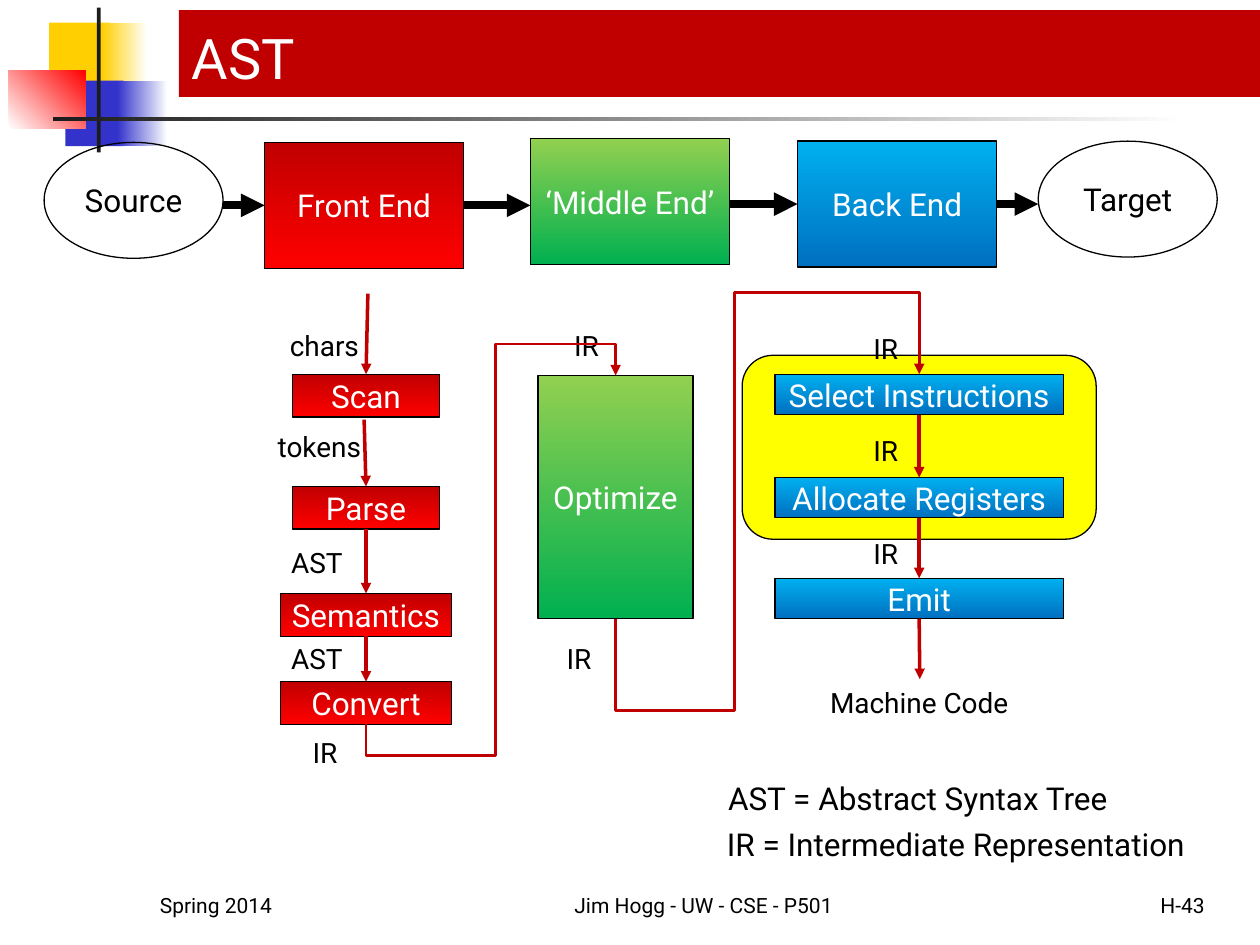
from pptx import Presentation
from pptx import util as u
from pptx.dml.color import RGBColor
from pptx.enum import shapes, text
from pptx.oxml import ns
from lxml import etree

FONT = "Roboto"
BLACK, WHITE, RED = "000000", "FFFFFF", "C00000"
FRONT, MIDDLE, BACK = (RED, "FF0000"), ("92D050", "00B050"), ("00B0F0", "0070C0")
TOP, LEFT, BOTTOM, RIGHT = range(4)
KIND = shapes.MSO_SHAPE
ALIGN = text.PP_ALIGN


def color(value):
    return RGBColor.from_string(value)


def inches(values):
    return [u.Inches(value) for value in values]


def paint(shape, fill, angle=90):
    """Fill with nothing, one colour, or a gradient turned clockwise."""
    if fill is None:
        shape.fill.background()
    elif isinstance(fill, str):
        shape.fill.solid()
        shape.fill.fore_color.rgb = color(fill)
    else:
        shape.fill.gradient()
        shape.fill.gradient_angle = -angle % 360
        for stop, position, value in zip(shape.fill.gradient_stops, (0, 1), fill):
            stop.position = position
            stop.color.rgb = color(value)


def write(shape, words, size, align, ink=BLACK, anchor=text.MSO_ANCHOR.TOP, wrap=True):
    frame = shape.text_frame
    frame.text = words
    frame.word_wrap = wrap
    frame.vertical_anchor = anchor
    para = frame.paragraphs[0]
    para.alignment = align
    para.font.name = FONT
    para.font.size = u.Pt(size)
    para.font.color.rgb = color(ink)


def add_box(page, at, fill, words="", kind=KIND.RECTANGLE, ink=WHITE, outline=True, angle=90):
    box = page.shapes.add_shape(kind, *inches(at))
    box.shadow.inherit = False
    paint(box, fill, angle)
    if outline:
        box.line.color.rgb = color(BLACK)
        box.line.width = u.Pt(0.75)
    else:
        box.line.fill.background()
    if words:
        write(box, words, 18, ALIGN.CENTER, ink, text.MSO_ANCHOR.MIDDLE, wrap=False)
    return box


def add_label(page, at, words, size=16, align=ALIGN.CENTER, anchor=text.MSO_ANCHOR.TOP, wrap=True):
    label = page.shapes.add_textbox(*inches(at))
    write(label, words, size, align, anchor=anchor, wrap=wrap)
    return label


def add_arrow(page, begin, end, ink=RED, width=2, kind=shapes.MSO_CONNECTOR.STRAIGHT):
    """Each end is a point (x, y) or a joint (shape, side)."""
    is_point = [isinstance(tip[0], (int, float)) for tip in (begin, end)]
    start = inches(begin) if is_point[0] else (0, 0)
    stop = inches(end) if is_point[1] else (0, 0)
    arrow = page.shapes.add_connector(kind, *start, *stop)
    if not is_point[0]:
        arrow.begin_connect(*begin)
    if not is_point[1]:
        arrow.end_connect(*end)
    arrow.line.color.rgb = color(ink)
    arrow.line.width = u.Pt(width)
    line = arrow.line._get_or_add_ln()
    etree.SubElement(line, ns.qn("a:tailEnd"), type="triangle")
    etree.SubElement(arrow._element.spPr, ns.qn("a:effectLst"))
    return arrow


def add_detour(page, begin, end, low, lane, high):
    """Elbow arrow: down to low, across to lane, up to high, then into the end."""
    arrow = add_arrow(page, begin, end, width=1.5, kind=shapes.MSO_CONNECTOR.ELBOW)
    x, y = arrow.begin_x, arrow.begin_y
    across, climb = arrow.end_x - x, y - arrow.end_y
    bends = ((y - u.Inches(low)) / climb, (u.Inches(lane) - x) / across,
             (y - u.Inches(high)) / climb)
    # A quarter turn swaps the width and the height about the same centre
    arrow.left, arrow.top = x + (across - climb) // 2, y - (climb + across) // 2
    arrow.width, arrow.height = climb, across
    frame = arrow._element.spPr.find(ns.qn("a:xfrm"))
    for name, value in (("rot", "5400000"), ("flipH", "1"), ("flipV", "1")):
        frame.set(name, value)
    shape = arrow._element.spPr.find(ns.qn("a:prstGeom"))
    shape.set("prst", "bentConnector5")
    guides = shape.find(ns.qn("a:avLst"))
    for number, bend in enumerate(bends, 1):
        etree.SubElement(guides, ns.qn("a:gd"), name=f"adj{number}",
                         fmla=f"val {round(bend * 100000)}")


def add_decoration(page):
    for at, fill, angle in (
        ((0.39, 0.18, 0.48, 0.52), "FFCF01", 0),
        ((0.81, 0.18, 0.36, 0.52), ("FFCF01", WHITE), 0),
        ((0.52, 0.64, 0.46, 0.52), "3333CC", 0),
        ((0.93, 0.64, 0.4, 0.52), ("3333CC", WHITE), 0),
        ((0.07, 0.56, 0.61, 0.46), (WHITE, "FF0000"), 315),
        ((0.77, 0.06, 0.03, 1.15), "1C1C1C", 0),
        ((0.42, 0.93, 9, 0.03), ("1C1C1C", WHITE), 0),
    ):
        add_box(page, at, fill, outline=False, angle=angle)


def add_title(page, words):
    title = page.shapes.title
    title.left, title.top, title.width, title.height = inches((1.42, 0.08, 8.58, 0.69))
    paint(title, RED)
    write(title, words, 32, ALIGN.LEFT, WHITE, text.MSO_ANCHOR.BOTTOM)
    title.text_frame.auto_size = text.MSO_AUTO_SIZE.NONE


def add_overview(page):
    """Top row: source, the three compiler ends, target."""
    for x, y, words in ((0.35, 1.13, "Source"), (8.24, 1.12, "Target")):
        add_box(page, (x, y, 1.42, 0.92), None, words, KIND.OVAL, BLACK)
    front, middle, back = [
        add_box(page, (x, y, 1.58, 1), fill, words) for x, y, fill, words in (
            (2.1, 1.13, FRONT, "Front End"),
            (4.21, 1.1, MIDDLE, "‘Middle End’"),
            (6.33, 1.12, BACK, "Back End"))]
    for begin, end in (((1.77, 1.63), (front, LEFT)), ((front, RIGHT), (4.21, 1.63)),
                       ((5.79, 1.62), (back, LEFT)), ((back, RIGHT), (8.24, 1.62))):
        add_arrow(page, begin, end, BLACK, 4.5)


def add_stages(page):
    """Detailed stages below each end, with what passes between them."""
    add_box(page, (5.89, 2.82, 2.81, 1.46), "FFFF00", kind=KIND.ROUNDED_RECTANGLE)
    scan, parse, semantics, convert = [
        add_box(page, (2.905 - width / 2, y, width, 0.34), FRONT, words)
        for y, width, words in ((2.97, 1.17, "Scan"), (3.86, 1.17, "Parse"),
                                (4.71, 1.36, "Semantics"), (5.41, 1.36, "Convert"))]
    optimize = add_box(page, (4.27, 2.98, 1.23, 1.93), MIDDLE, "Optimize")
    select, allocate, emit = [
        add_box(page, (6.15, y, 2.29, 0.32), BACK, words)
        for y, words in ((2.97, "Select Instructions"), (3.79, "Allocate Registers"),
                         (4.59, "Emit"))]
    for x, y, width, words in (
        (1.99, 2.56, 1.17, "chars"), (1.95, 3.36, 1.17, "tokens"),
        (1.93, 4.28, 1.17, "AST"), (1.93, 5.04, 1.17, "AST"), (2, 5.79, 1.16, "IR"),
        (4.18, 2.56, 0.95, "IR"), (3.98, 5.04, 1.23, "IR"),
        (6.15, 2.58, 1.76, "IR"), (6.15, 3.39, 1.76, "IR"), (6.15, 4.21, 1.76, "IR"),
        (6.15, 5.39, 2.29, "Machine Code"),
    ):
        add_label(page, (x, y, width, 0.37), words)

    add_arrow(page, (2.92, 2.33), (scan, TOP))
    add_arrow(page, (2.89, 3.33), (parse, TOP))
    for upper, lower in ((parse, semantics), (semantics, convert),
                         (select, allocate), (allocate, emit)):
        add_arrow(page, (upper, BOTTOM), (lower, TOP))
    add_arrow(page, (emit, BOTTOM), (7.3, 5.39))
    add_detour(page, (convert, BOTTOM), (optimize, TOP), low=6, lane=3.93, high=2.73)
    add_detour(page, (optimize, BOTTOM), (select, TOP), low=5.64, lane=5.83, high=2.32)


def add_notes_and_footer(page):
    for at, words in (((5.68, 6.13, 3.27, 0.4), "AST = Abstract Syntax Tree"),
                      ((5.67, 6.5, 3.98, 0.4), "IR = Intermediate Representation")):
        add_label(page, at, words, 18, ALIGN.LEFT, wrap=False)
    for x, width, words, align in (
        (1.17, 2.08, "Spring 2014", ALIGN.LEFT),
        (4, 3.17, "Jim Hogg - UW - CSE - P501", ALIGN.CENTER),
        (7.58, 2.08, "H-43", ALIGN.RIGHT),
    ):
        add_label(page, (x, 6.83, width, 0.5), words, 12, align, text.MSO_ANCHOR.BOTTOM)


def main():
    deck = Presentation()
    deck.slide_width, deck.slide_height = inches((10, 7.5))
    page = deck.slides.add_slide(deck.slide_layouts[5])
    add_decoration(page)
    add_title(page, "AST")
    add_overview(page)
    add_stages(page)
    add_notes_and_footer(page)
    deck.save("out.pptx")


if __name__ == "__main__":
    main()
